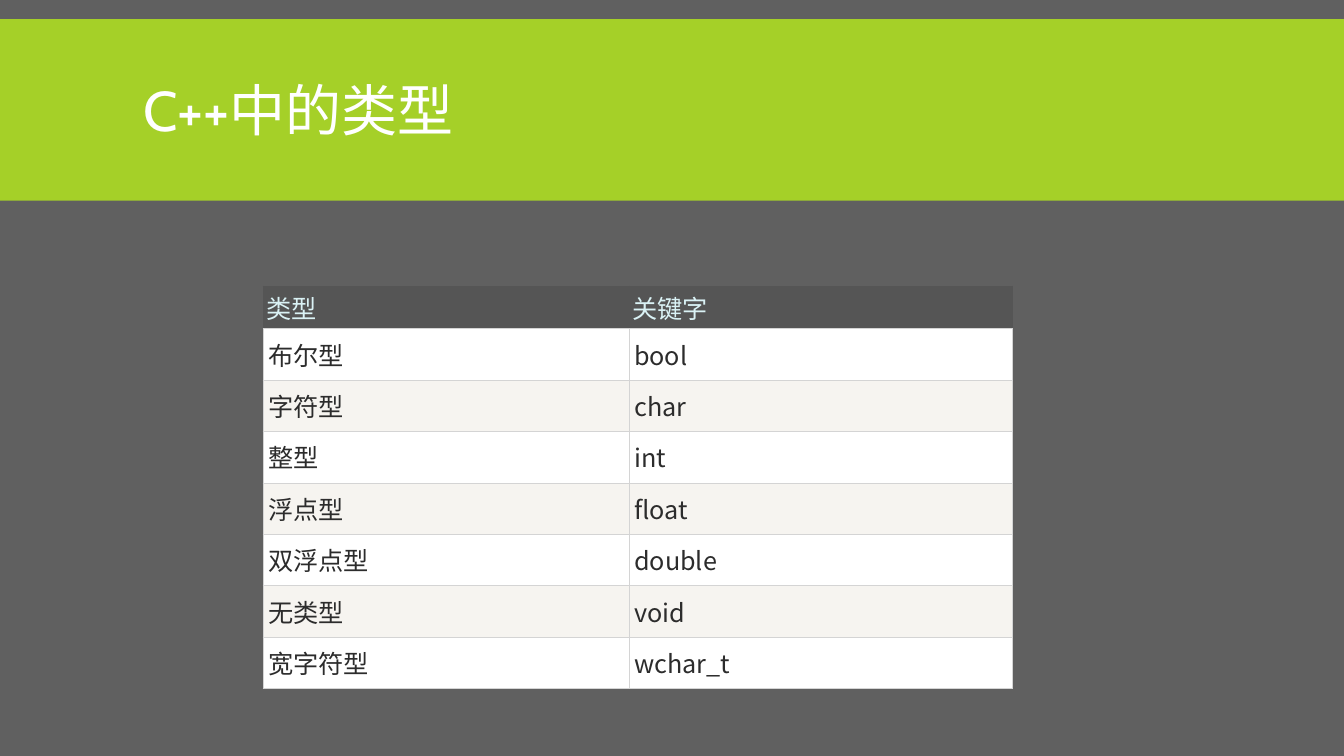
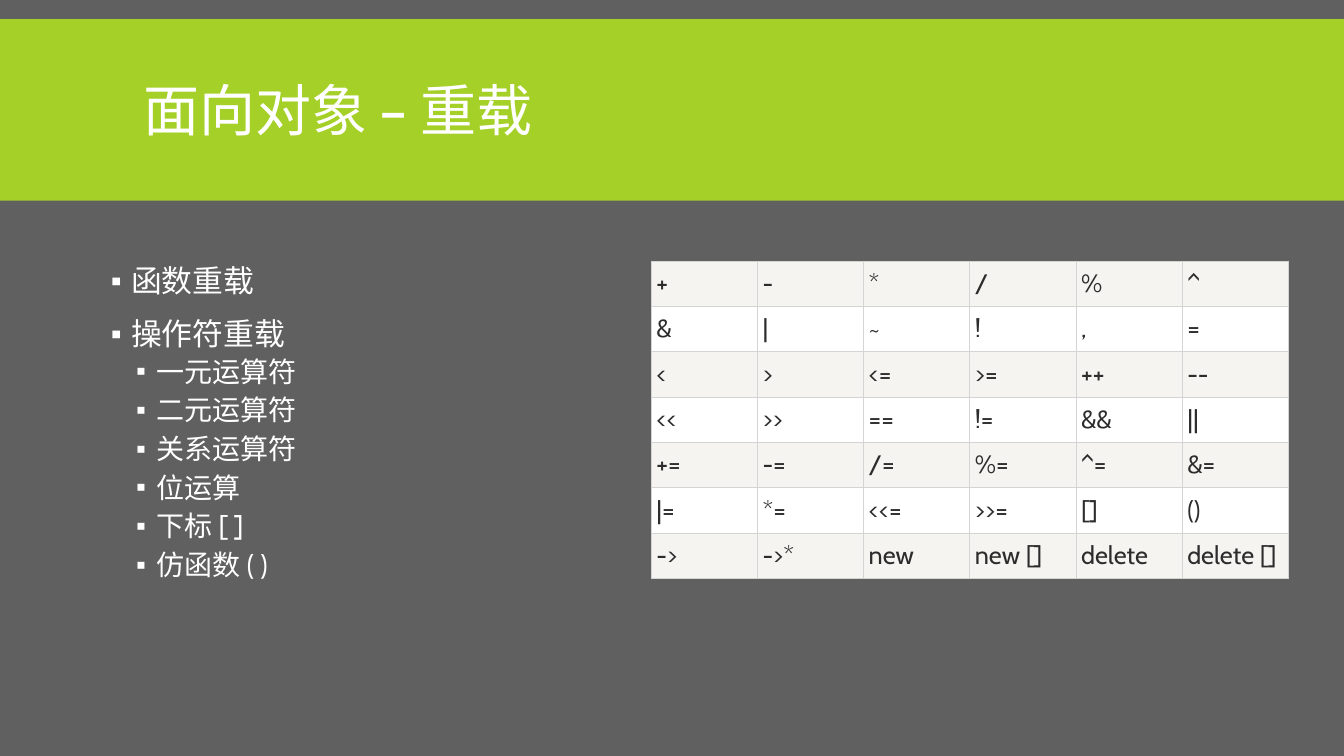
from dataclasses import dataclass

from lxml import etree
from pptx import Presentation
from pptx.dml.color import RGBColor
from pptx.enum import shapes, text
from pptx.oxml import ns
from pptx.util import Inches, Pt


@dataclass(frozen=True)
class Theme:
    background: str = "606060"
    band: str = "A5D028"
    light: str = "FFFFFF"
    dark: str = "2C2C2C"
    stripe: str = "F6F4F0"
    header: str = "555555"
    header_text: str = "DAF2F5"
    grid: str = "D4D4D4"
    font: str = "Cabin"
    cjk_font: str = "Noto Sans CJK SC"
    title_size: int = 40
    list_sizes: tuple = (22, 20)
    table_size: int = 18


THEME = Theme()
WIDTH = 13.33

LIST_LEVELS = (
    {"line_spacing": 0.9, "space_before": Pt(12), "space_after": Pt(2)},
    {"line_spacing": 0.9, "space_before": Pt(2), "space_after": Pt(4)},
)
LIST_INDENTS = (0.2, 0.45)
HANGING = 0.2

TYPES = [
    ("类型", "关键字"),
    ("布尔型", "bool"),
    ("字符型", "char"),
    ("整型", "int"),
    ("浮点型", "float"),
    ("双浮点型", "double"),
    ("无类型", "void"),
    ("宽字符型", "wchar_t"),
]
OVERLOADING = [
    (0, "函数重载"),
    (0, "操作符重载"),
    (1, "一元运算符"),
    (1, "二元运算符"),
    (1, "关系运算符"),
    (1, "位运算"),
    (1, "下标 [ ]"),
    (1, "仿函数 ( )"),
]
OPERATORS = [
    ("+", "-", "*", "/", "%", "^"),
    ("&", "|", "~", "!", ",", "="),
    ("<", ">", "<=", ">=", "++", "--"),
    ("<<", ">>", "==", "!=", "&&", "||"),
    ("+=", "-=", "/=", "%=", "^=", "&="),
    ("|=", "*=", "<<=", ">>=", "[]", "()"),
    ("->", "->*", "new", "new []", "delete", "delete []"),
]


def rgb(color):
    return RGBColor.from_string(color)


def apply(target, values):
    for name, value in values.items():
        setattr(target, name, value)


def add_xml(parent, tag, **attributes):
    return etree.SubElement(parent, ns.qn(tag), attributes)


def place(shape, left, top, width, height):
    apply(shape, {"left": Inches(left), "top": Inches(top),
                  "width": Inches(width), "height": Inches(height)})


class Deck:
    def __init__(self, theme):
        self.theme = theme
        self.prs = Presentation()
        apply(self.prs, {"slide_width": Inches(WIDTH), "slide_height": Inches(7.5)})
        fill = self.prs.slide_master.background.fill
        fill.solid()
        fill.fore_color.rgb = rgb(theme.background)
        self.slide = None

    def add_words(self, paragraph, words, size, color, font):
        run = paragraph.add_run()
        run.text = words
        apply(run.font, {"name": font, "size": Pt(size), "bold": False})
        run.font.color.rgb = rgb(color)
        add_xml(run._r.get_or_add_rPr(), "a:ea", typeface=font)

    def add_slide(self, title, layout):
        self.slide = self.prs.slides.add_slide(self.prs.slide_layouts.get_by_name(layout))
        self.add_band()
        heading = self.slide.shapes.title
        place(heading, 1.32, 0.31, 10.7, 1.65)
        apply(heading.text_frame, {"vertical_anchor": text.MSO_ANCHOR.MIDDLE,
                                   "auto_size": text.MSO_AUTO_SIZE.NONE})
        paragraph = heading.text_frame.paragraphs[0]
        apply(paragraph, {"alignment": text.PP_ALIGN.LEFT, "line_spacing": 0.85})
        self.add_words(paragraph, title, self.theme.title_size,
                       self.theme.light, self.theme.font)

    def add_band(self):
        """Draw the title band behind the placeholders."""
        band = self.slide.shapes.add_shape(
            shapes.MSO_SHAPE.RECTANGLE, 0, Inches(0.19), Inches(WIDTH), Inches(1.8))
        band.shadow.inherit = False
        band.fill.solid()
        band.fill.fore_color.rgb = rgb(self.theme.band)
        band.line.fill.background()
        self.slide.shapes.title._element.addprevious(band._element)

    def add_list(self, items, *box):
        body = self.slide.placeholders[1]
        place(body, *box)
        frame = body.text_frame
        frame.auto_size = text.MSO_AUTO_SIZE.NONE
        for index, (level, words) in enumerate(items):
            paragraph = frame.add_paragraph() if index else frame.paragraphs[0]
            properties = paragraph._p.get_or_add_pPr()
            properties.set("marL", str(Inches(LIST_INDENTS[level])))
            properties.set("indent", str(-Inches(HANGING)))
            add_xml(add_xml(properties, "a:buClr"), "a:srgbClr", val=self.theme.light)
            add_xml(properties, "a:buChar", char="▪")
            apply(paragraph, {"level": level, **LIST_LEVELS[level]})
            if index == 0:
                paragraph.space_before = Pt(0)
            self.add_words(paragraph, words, self.theme.list_sizes[level],
                           self.theme.light, self.theme.font)

    def add_table(self, rows, left, top, columns, row_height, font, header_height=None):
        """Draw a striped grid; a header height makes the first row a header."""
        theme = self.theme
        heights = [row_height] * len(rows)
        if header_height:
            heights[0] = header_height
        table = self.slide.shapes.add_table(
            len(rows), len(columns), Inches(left), Inches(top),
            Inches(sum(columns)), Inches(sum(heights))).table
        apply(table, {"first_row": bool(header_height), "horz_banding": False})
        for column, width in zip(table.columns, columns):
            column.width = Inches(width)
        for index, (row, height, entries) in enumerate(zip(table.rows, heights, rows)):
            row.height = Inches(height)
            is_header = bool(header_height) and index == 0
            fill = theme.header if is_header else (theme.light if index % 2 else theme.stripe)
            for cell, entry in zip(row.cells, entries):
                self.format_cell(cell, fill, is_header)
                self.add_words(cell.text_frame.paragraphs[0], entry, theme.table_size,
                               theme.header_text if is_header else theme.dark, font)

    def format_cell(self, cell, fill, is_header):
        side, end = (0.03, 0.03) if is_header else (0.05, 0.07)
        apply(cell, {"margin_left": Inches(side), "margin_right": Inches(side),
                     "margin_top": Inches(end), "margin_bottom": Inches(end)})
        properties = cell._tc.get_or_add_tcPr()
        for edge in ("L", "R", "T", "B"):
            color = self.theme.header if is_header and edge != "B" else self.theme.grid
            line = add_xml(properties, f"a:ln{edge}", w=str(Pt(0.75)))
            add_xml(add_xml(line, "a:solidFill"), "a:srgbClr", val=color)
        cell.fill.solid()
        cell.fill.fore_color.rgb = rgb(fill)


def main():
    deck = Deck(THEME)

    deck.add_slide("C++中的类型", "Title Only")
    deck.add_table(TYPES, 2.61, 2.84, (3.63, 3.8), 0.51, THEME.cjk_font, header_height=0.42)

    deck.add_slide("面向对象 – 重载", "Title and Content")
    deck.add_list(OVERLOADING, 1, 2.59, 3.83, 3.74)
    deck.add_table(OPERATORS, 6.46, 2.59, (6.32 / 6,) * 6, 0.45, THEME.font)

    deck.prs.save("out.pptx")


if __name__ == "__main__":
    main()
